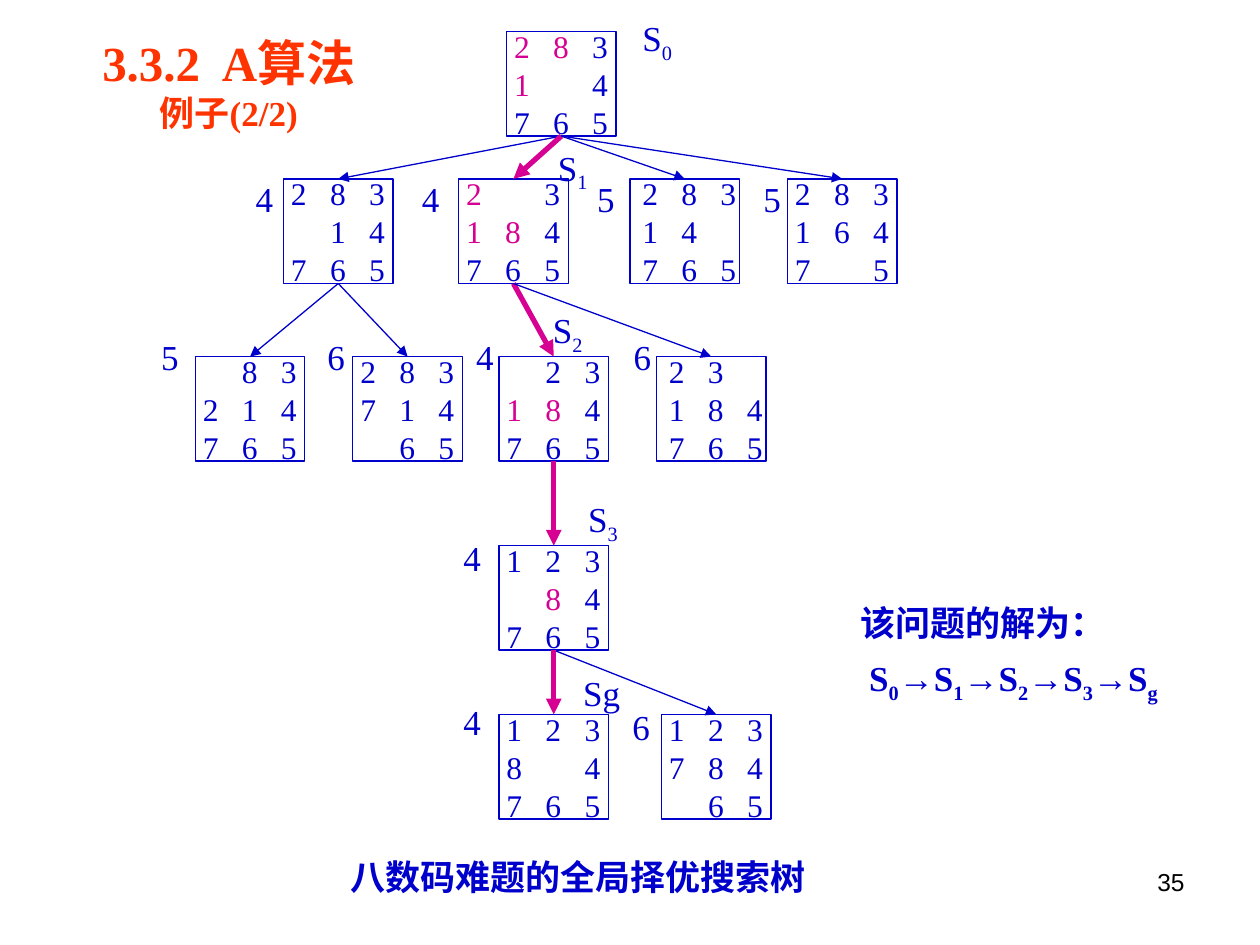
from itertools import groupby

from lxml.etree import SubElement
from pptx import Presentation
from pptx.dml.color import RGBColor
from pptx.enum.shapes import MSO_CONNECTOR as Connector, MSO_SHAPE as Shape
from pptx.enum.text import MSO_ANCHOR as Anchor, PP_ALIGN as Align
from pptx.oxml.ns import qn
from pptx.util import Inches, Pt

BLUE, PINK, ORANGE, BLACK = "0000CC", "D60093", "FF3300", "000000"
SERIF, SANS = "Times New Roman", "Arial"
BOARD_WIDTH, BOARD_HEIGHT = 0.87, 0.83
COLUMN_STEP = 0.31
BOTTOM, TOP = 2, 0

# Tops of the levels of the search tree
LEVELS = [0.25, 1.42, 2.83, 4.33, 5.67]

# name: (level, left, rows with a space for the blank, digits in pink, left inset)
BOARDS = {
    "S0": (0, 4.02, ["283", "1 4", "765"], "281", 0.06),
    "left": (1, 2.25, ["283", " 14", "765"], "", 0.06),
    "S1": (1, 3.64, ["2 3", "184", "765"], "218", 0.06),
    "right": (1, 5.00, ["283", "14 ", "765"], "", 0.10),
    "up": (1, 6.25, ["283", "164", "7 5"], "", 0.06),
    "left up": (2, 1.55, [" 83", "214", "765"], "", 0.06),
    "left down": (2, 2.80, ["283", "714", " 65"], "", 0.06),
    "S2": (2, 3.96, [" 23", "184", "765"], "18", 0.06),
    "S1 right": (2, 5.21, ["23 ", "184", "765"], "", 0.10),
    "S3": (3, 3.96, ["123", " 84", "765"], "8", 0.06),
    "Sg": (4, 3.96, ["123", "8 4", "765"], "", 0.06),
    "S3 down": (4, 5.25, ["123", "784", " 65"], "", 0.06),
}

CHILDREN = {
    "S0": ["left", "S1", "right", "up"],
    "left": ["left up", "left down"],
    "S1": ["S2", "S1 right"],
    "S2": ["S3"],
    "S3": ["S3 down", "Sg"],
}
SOLUTION = ["S0", "S1", "S2", "S3", "Sg"]

# (cost, left, top)
COSTS = [
    ("4", 1.93, 1.36), ("4", 3.25, 1.36), ("5", 4.64, 1.36), ("5", 5.96, 1.36),
    ("5", 1.18, 2.61), ("6", 2.50, 2.61), ("4", 3.68, 2.61), ("6", 4.93, 2.61),
    ("4", 3.58, 4.21), ("4", 3.58, 5.51), ("6", 4.92, 5.55),
]

# (name, subscript, left, top)
STATES = [
    ("S", "0", 5.00, 0.08), ("S", "1", 4.33, 1.11), ("S", "2", 4.29, 2.40),
    ("S", "3", 4.57, 3.90), ("Sg", "", 4.53, 5.28),
]


def paint(color_format, color):
    color_format.rgb = RGBColor.from_string(color)


def add_span(para, text, color=BLUE, subscript=False, **formats):
    span = para.add_run()
    span.text = text
    for name, value in {"size": Pt(20), "name": SERIF, **formats}.items():
        setattr(span.font, name, value)
    paint(span.font.color, color)
    if subscript:
        span.font._element.set("baseline", "-25000")


def add_text(page, left, top, width, height):
    """Add an empty wrapping text box and return its text frame."""
    frame = page.shapes.add_textbox(*map(Inches, (left, top, width, height))).text_frame
    frame.word_wrap = True
    return frame


def add_column_stops(para):
    stops = SubElement(para._p.get_or_add_pPr(), qn("a:tabLst"))
    for column in (1, 2):
        SubElement(stops, qn("a:tab"), pos=str(Inches(column * COLUMN_STEP)), algn="l")


def add_board(page, level, left, rows, pink_digits, inset):
    box = page.shapes.add_shape(
        Shape.RECTANGLE, Inches(left), Inches(LEVELS[level]),
        Inches(BOARD_WIDTH), Inches(BOARD_HEIGHT))
    box.shadow.inherit = False
    box.fill.background()
    box.line.width = Pt(0.75)
    paint(box.line.color, BLUE)
    frame = box.text_frame
    frame.word_wrap = True
    frame.vertical_anchor = Anchor.MIDDLE
    frame.margin_left, frame.margin_right = Inches(inset), 0
    for number, row in enumerate(rows):
        para = frame.paragraphs[0] if number == 0 else frame.add_paragraph()
        para.alignment = Align.LEFT
        add_column_stops(para)
        text = "\t".join(cell.strip() for cell in row).rstrip()
        colored = groupby(text, lambda sign: PINK if sign in pink_digits else BLUE)
        for color, signs in colored:
            add_span(para, "".join(signs), color, size=Pt(18))
    return box


def add_arrow(page, parent, child, color, width):
    arrow = page.shapes.add_connector(Connector.STRAIGHT, 0, 0, 0, 0)
    arrow.begin_connect(parent, BOTTOM)
    arrow.end_connect(child, TOP)
    arrow.line.width = Pt(width)
    paint(arrow.line.color, color)
    SubElement(arrow.line._get_or_add_ln(), qn("a:tailEnd"), type="triangle")
    SubElement(arrow._element.spPr, qn("a:effectLst"))


def main():
    deck = Presentation()
    deck.slide_width, deck.slide_height = Inches(10), Inches(7.5)
    page = deck.slides.add_slide(deck.slide_layouts[6])

    boxes = {name: add_board(page, *board) for name, board in BOARDS.items()}
    for parent, children in CHILDREN.items():
        for child in children:
            solved = parent in SOLUTION and child in SOLUTION
            color, width = (PINK, 3) if solved else (BLUE, 0.75)
            add_arrow(page, boxes[parent], boxes[child], color, width)

    for cost, left, top in COSTS:
        add_span(add_text(page, left, top, 0.4, 0.44).paragraphs[0], cost)
    for name, subscript, left, top in STATES:
        para = add_text(page, left, top, 0.5, 0.44).paragraphs[0]
        add_span(para, name)
        if subscript:
            add_span(para, subscript, subscript=True)

    title = add_text(page, 0.24, 0.21, 3.15, 0.9)
    for para, text, size in ((title.paragraphs[0], "3.3.2  A算法", 28),
                             (title.add_paragraph(), "例子(2/2)", 20)):
        para.alignment = Align.CENTER
        add_span(para, text, ORANGE, size=Pt(size), bold=True)

    caption = add_text(page, 2.68, 6.74, 3.9, 0.44)
    add_span(caption.paragraphs[0], "八数码难题的全局择优搜索树", bold=True)

    answer = add_text(page, 6.73, 4.69, 2.72, 0.96)
    heading, steps = answer.paragraphs[0], answer.add_paragraph()
    add_span(heading, "该问题的解为：", bold=True)
    heading.line_spacing = steps.line_spacing = 1.1
    steps.space_before = Pt(5)
    steps._p.get_or_add_pPr().set("marL", str(Inches(0.07)))
    for number, (letter, subscript) in enumerate(SOLUTION):
        add_span(steps, ("→" if number else "") + letter, bold=True)
        add_span(steps, subscript, subscript=True, bold=True)

    number = add_text(page, 7.17, 6.83, 2.33, 0.52).paragraphs[0]
    number.alignment = Align.RIGHT
    add_span(number, "35", BLACK, size=Pt(14), name=SANS)

    deck.save("out.pptx")


if __name__ == "__main__":
    main()
